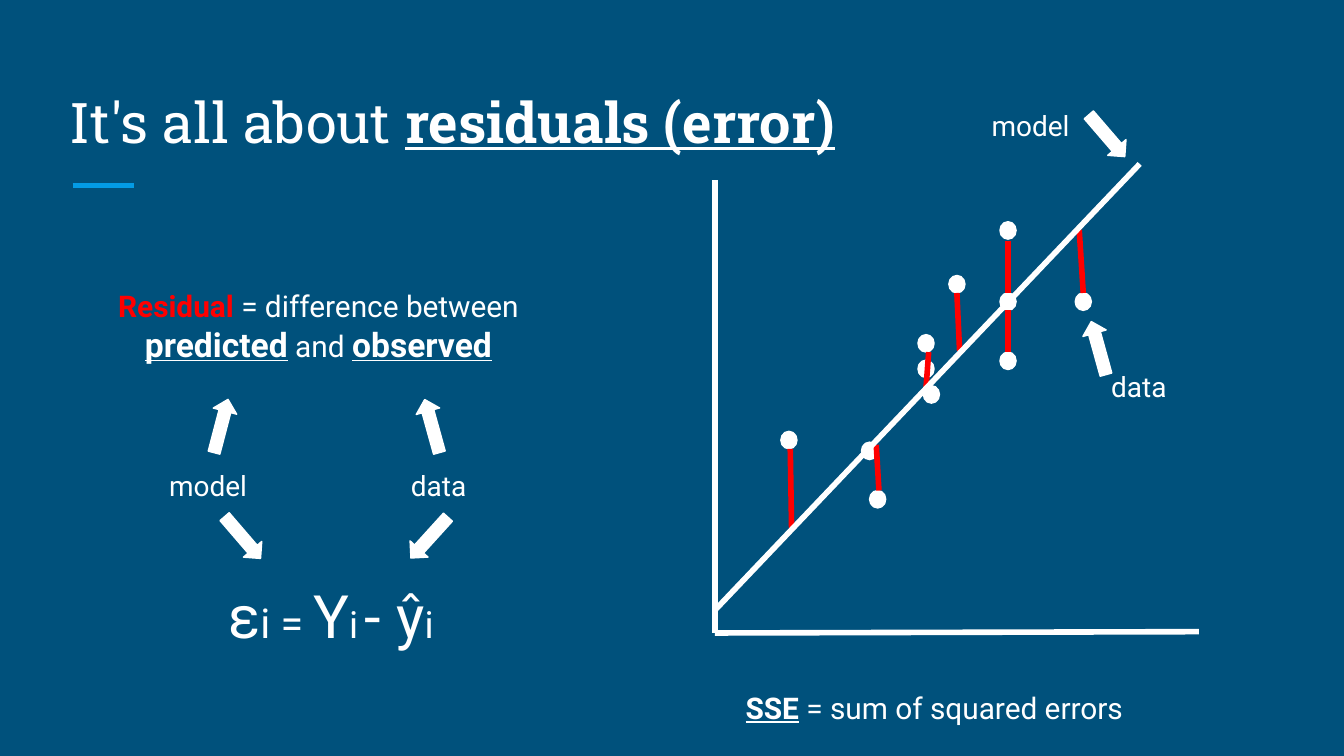
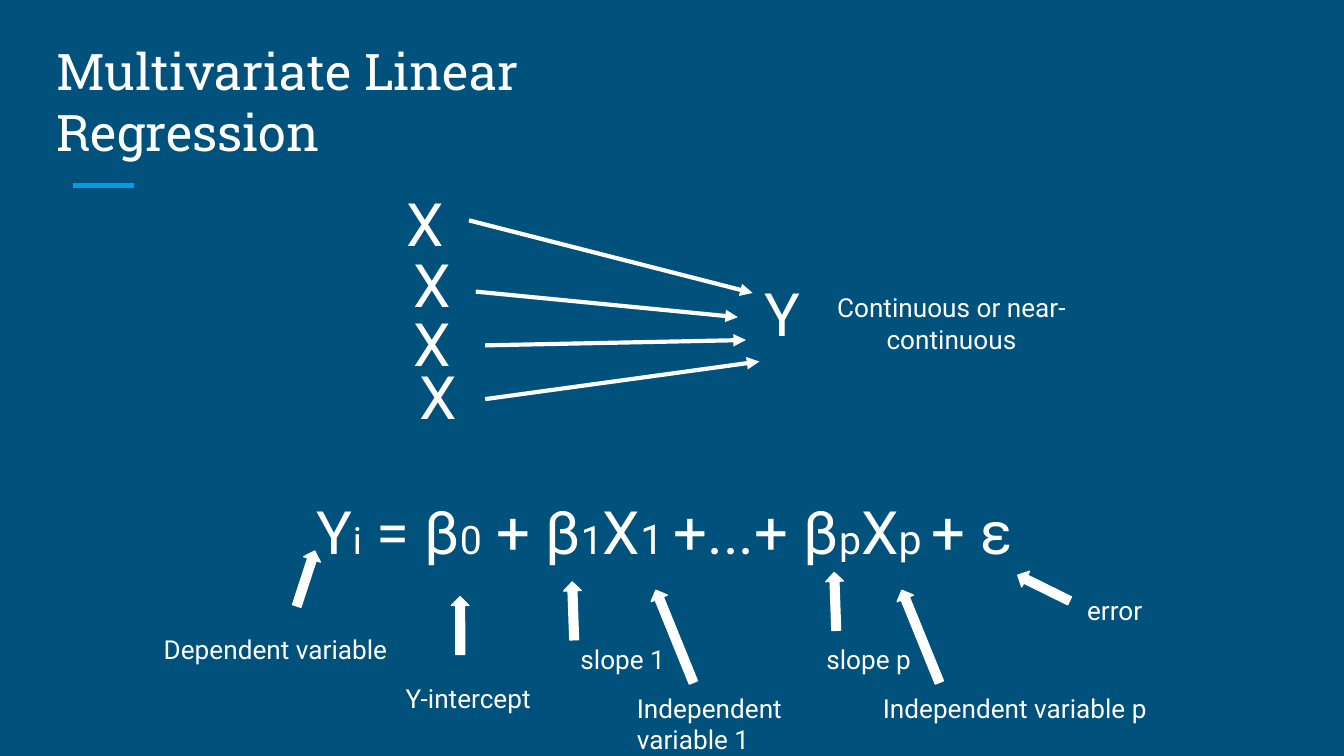
import pptx
import pptx.util
import pptx.dml.color
import pptx.enum.shapes
import pptx.enum.text
import pptx.oxml.ns
from lxml import etree

# Shared look
WIDE = 10
HIGH = WIDE * 9 / 16
BACK, WHITE, RED, BLUE = "00517C", "FFFFFF", "FF0000", "039BE5"
BODY, HEAD = "Roboto", "Roboto Slab"
PAD = 0.1
SHAPE = pptx.enum.shapes.MSO_SHAPE
INCH = pptx.util.Inches

# Slide 1 content: runs are (text, size, marks), marks b = bold, u = underline, r = red
TITLE_1 = (0.42, 0.5, 9.15, [("It's all about ", 30, ""), ("residuals (error)", 30, "bu")])
MEANING = [("Residual", 16, "br"), (" = difference between ", 16, ""),
           ("predicted", 18, "bu"), (" and ", 16, ""), ("observed", 18, "bu")]
ERROR = [("ε", 32, ""), ("i = ", 22, ""), ("Y", 32, ""), ("i", 20, ""),
         (" ", 14, ""), ("- ŷ", 32, ""), ("i", 20, "")]
SUM = [("SSE", 16, "bu"), (" = sum of squared errors", 16, "")]
TAGS_1 = [("model", 1.16, 3.39), ("data", 2.96, 3.39),
          ("model", 7.28, 0.71), ("data", 8.17, 2.65)]
AXES = [(5.32, 1.34, 5.32, 4.71), (8.92, 4.7, 5.32, 4.71)]
MODEL = (5.32, 4.54, 8.48, 1.22)
DOTS = [(5.81, 3.21), (6.87, 2.87), (6.47, 3.65), (7.44, 2.18), (8, 2.18), (7.44, 2.62),
        (6.83, 2.49), (6.41, 3.29), (7.06, 2.05), (6.83, 2.68), (7.44, 1.65)]
GAPS = [(7.12, 2.18, 7.14, 2.61), (6.52, 3.31, 6.54, 3.65), (8.03, 1.71, 8.06, 2.18),
        (7.5, 2.31, 7.5, 2.62), (5.88, 3.34, 5.89, 3.93), (7.5, 1.79, 7.5, 2.18),
        (6.91, 2.62, 6.89, 2.89)]
# Block arrows: left, top, turn
ARROWS_1 = [(1.44, 3.08, 284.7), (3.01, 3.08, 254.5), (1.6, 3.91, 49.3),
            (2.99, 3.91, 132.2), (8.03, 0.92, 49.3), (7.97, 2.5, 254.5)]

# Slide 2 content
TITLE_2 = (0.32, 0.55, 4.94, [("Multivariate Linear Regression", 27, "")])
MODEL_SUM = [("Y", 32, ""), ("i", 20, ""), (" = β", 32, ""), ("0", 21, ""),
             (" + β", 32, ""), ("1", 21, ""), ("X", 32, ""), ("1 ", 22, ""),
             ("+...+ β", 32, ""), ("p", 21, ""), ("X", 32, ""), ("p ", 22, ""),
             ("+ ε", 32, "")]
# Labels: text, left, top, width, lines
TAGS_2 = [("Dependent variable", 1.12, 4.61, 2.16, 1), ("Y-intercept", 2.92, 4.98, 2.91, 1),
          ("slope 1", 4.22, 4.69, 2.91, 1), ("Independent variable 1", 4.64, 5.05, 1.41, 2),
          ("error", 7.99, 4.32, 2.91, 1), ("slope p", 6.05, 4.69, 2.91, 1),
          ("Independent variable p", 6.47, 5.05, 2.91, 1)]
# Block arrows: left, top, length, turn
ARROWS_2 = [(2.06, 4.24, 0.43, 288.1), (3.21, 4.59, 0.43, 269.9), (4.05, 4.48, 0.43, 268),
            (4.65, 4.67, 0.74, 247.9), (7.55, 4.31, 0.43, 206.3), (6, 4.41, 0.43, 268),
            (6.48, 4.67, 0.74, 247.9)]
# Each input: letter place, then its line to Y
INPUTS = [((2.93, 1.29), (3.49, 1.64, 5.6, 2.18)), ((2.98, 1.74), (3.54, 2.17, 5.49, 2.36)),
          ((2.98, 2.18), (3.61, 2.57, 5.55, 2.53)), ((3.02, 2.58), (3.61, 2.97, 5.65, 2.69))]


def paint(code):
    return pptx.dml.color.RGBColor.from_string(code)


def add_text(slide, left, top, width, runs, lines=1, font=BODY, center=False):
    """Place a text box whose height follows its first run."""
    tall = 2 * PAD + 0.01 + runs[0][1] * lines * 0.0165
    box = slide.shapes.add_textbox(*map(INCH, (left, top, width, tall)))
    frame = box.text_frame
    frame.word_wrap = True
    frame.auto_size = pptx.enum.text.MSO_AUTO_SIZE.SHAPE_TO_FIT_TEXT
    frame.margin_left = frame.margin_right = INCH(PAD)
    frame.margin_top = frame.margin_bottom = INCH(PAD)
    para = frame.paragraphs[0]
    align = pptx.enum.text.PP_ALIGN
    para.alignment = align.CENTER if center else align.LEFT
    for text, size, marks in runs:
        run = para.add_run()
        run.text = text
        run.font.name = font
        run.font.size = pptx.util.Pt(size)
        run.font.bold = "b" in marks
        run.font.underline = "u" in marks
        run.font.color.rgb = paint(RED if "r" in marks else WHITE)
    return box


def add_line(slide, ends, color=WHITE, width=3, arrow=False):
    line = slide.shapes.add_connector(
        pptx.enum.shapes.MSO_CONNECTOR.STRAIGHT, *map(INCH, ends))
    line.line.color.rgb = paint(color)
    line.line.width = pptx.util.Pt(width)
    qn = pptx.oxml.ns.qn
    if arrow:
        edge = line._element.spPr.find(qn("a:ln"))
        etree.SubElement(edge, qn("a:tailEnd"), type="triangle")
    etree.SubElement(line._element.spPr, qn("a:effectLst"))


def add_mark(slide, kind, left, top, width, height, turn=0):
    mark = slide.shapes.add_shape(kind, *map(INCH, (left, top, width, height)))
    mark.rotation = turn
    mark.shadow.inherit = False
    mark.fill.solid()
    mark.fill.fore_color.rgb = paint(WHITE)
    mark.line.color.rgb = paint(WHITE)
    mark.line.width = pptx.util.Pt(0.75)


def add_slide(deck, title):
    """Start a slide with its ground, accent rule and title."""
    slide = deck.slides.add_slide(deck.slide_layouts[6])
    slide.background.fill.solid()
    slide.background.fill.fore_color.rgb = paint(BACK)
    add_line(slide, (0.54, 1.38, 1, 1.38), BLUE)
    box = add_text(slide, *title, font=HEAD)
    box.height = INCH(0.75)
    box.text_frame.auto_size = pptx.enum.text.MSO_AUTO_SIZE.NONE
    box.text_frame.vertical_anchor = pptx.enum.text.MSO_ANCHOR.BOTTOM
    return slide


def build_error(deck):
    slide = add_slide(deck, TITLE_1)
    # Scatter plot with residuals
    for ends in AXES:
        add_line(slide, ends)
    for left, top in DOTS:
        add_mark(slide, SHAPE.FLOWCHART_CONNECTOR, left, top, 0.12, 0.13)
    for ends in GAPS:
        add_line(slide, ends, RED)
    add_line(slide, MODEL)
    # Words and formula
    add_text(slide, 0.75, 2.04, 3.24, MEANING, lines=2, center=True)
    add_text(slide, 1.6, 4.21, 2.83, ERROR)
    add_text(slide, 5.45, 5.03, 3.34, SUM)
    for text, left, top in TAGS_1:
        add_text(slide, left, top, 2.1, [(text, 15, "")])
    for left, top, turn in ARROWS_1:
        add_mark(slide, SHAPE.RIGHT_ARROW, left, top, 0.41, 0.18, turn)


def build_model(deck):
    slide = add_slide(deck, TITLE_2)
    # Formula with its labels
    add_text(slide, 2.26, 3.58, 5.87, MODEL_SUM)
    for text, left, top, width, lines in TAGS_2:
        add_text(slide, left, top, width, [(text, 14, "")], lines)
    for left, top, length, turn in ARROWS_2:
        add_mark(slide, SHAPE.RIGHT_ARROW, left, top, length, 0.13, turn)
    # Inputs leading to Y
    for (left, top), ends in INPUTS:
        add_text(slide, left, top, 4.23, [("X", 32, "")])
        add_line(slide, ends, width=2.25, arrow=True)
    add_text(slide, 5.59, 1.96, 0.84, [("Y", 32, "")])
    add_text(slide, 6.06, 2.07, 2.04, [("Continuous or near- continuous", 14, "")],
             lines=2, center=True)


def main():
    deck = pptx.Presentation()
    deck.slide_width, deck.slide_height = INCH(WIDE), INCH(HIGH)
    build_error(deck)
    build_model(deck)
    deck.save("out.pptx")


if __name__ == "__main__":
    main()
